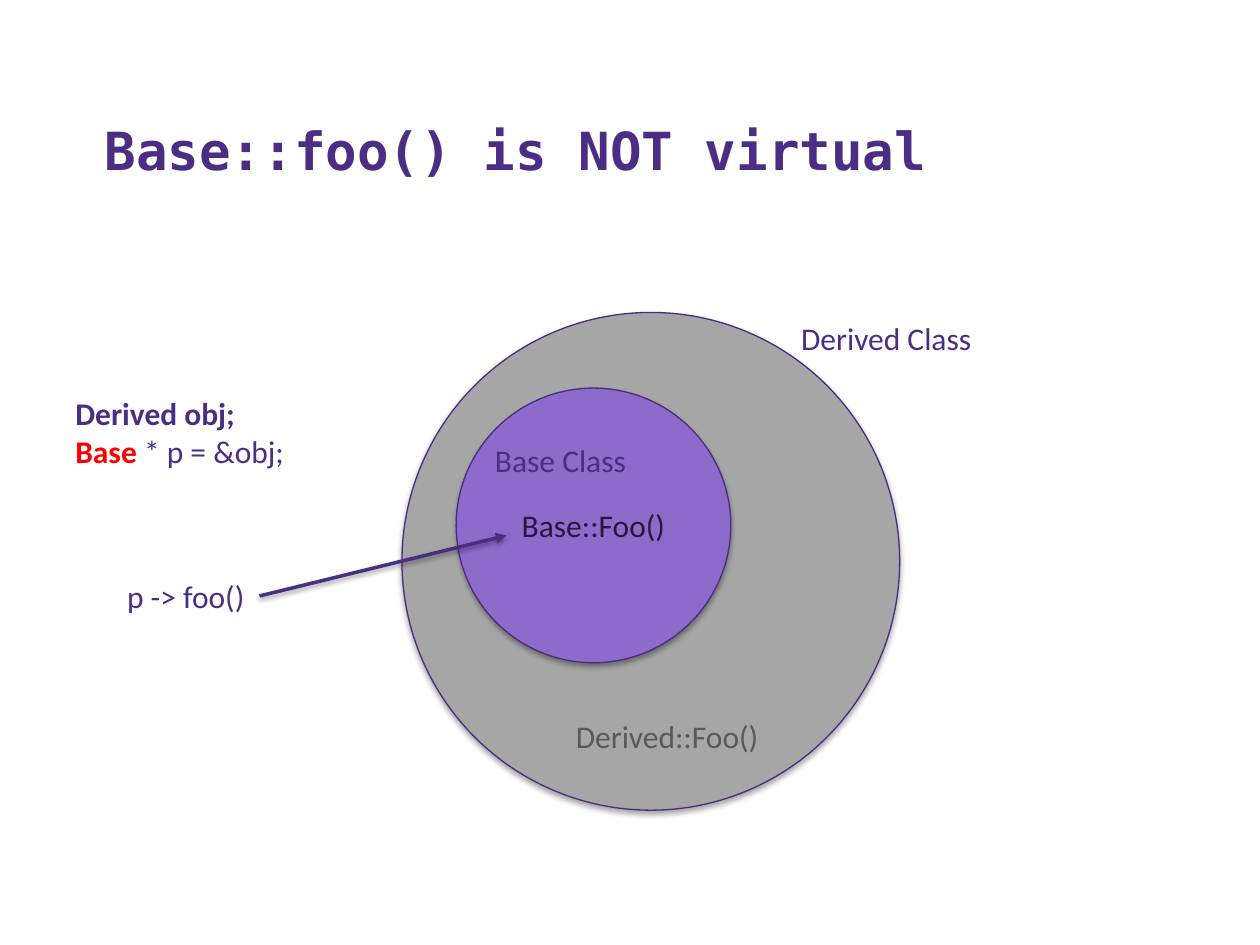
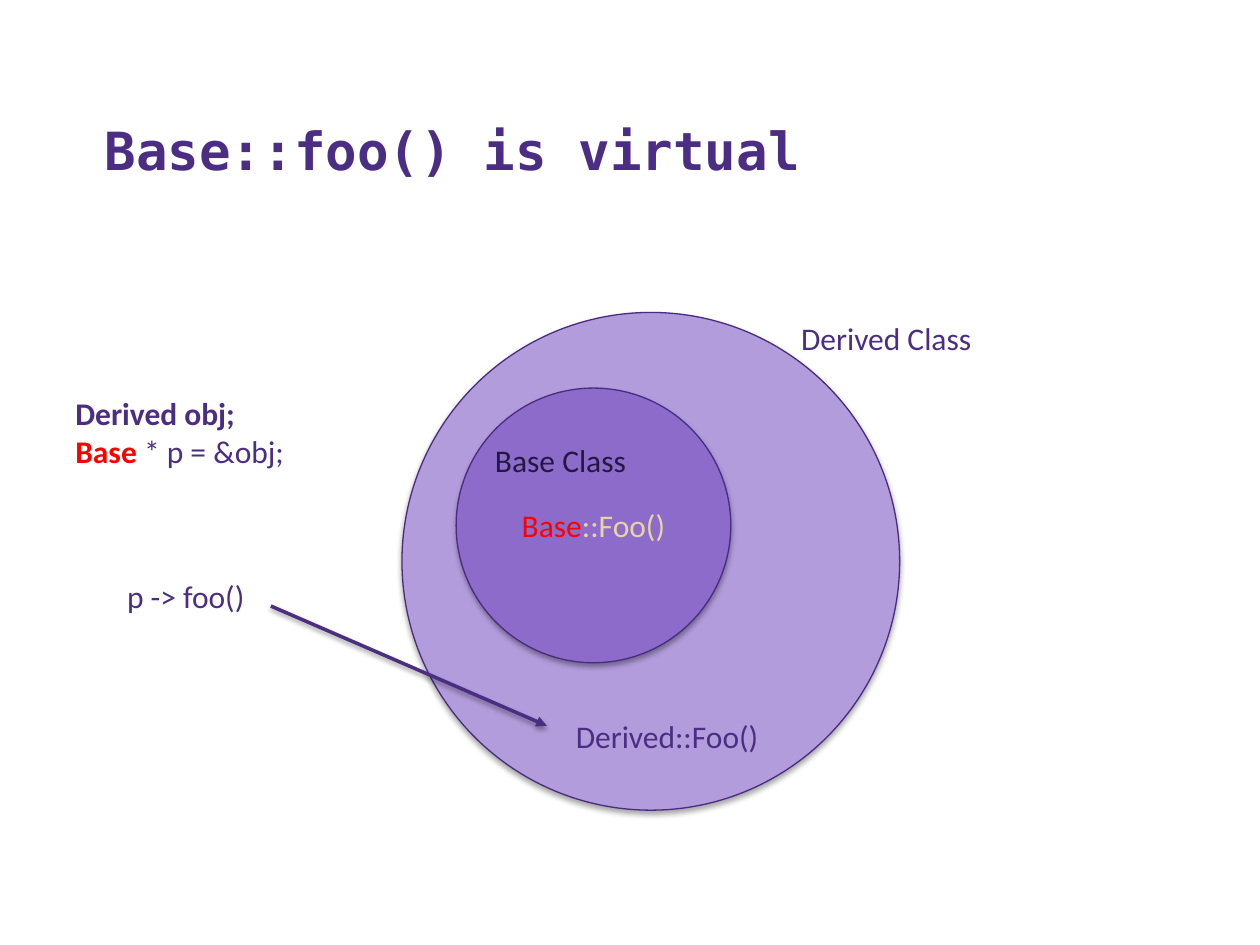
from lxml.etree import SubElement
from pptx import Presentation
from pptx.dml.color import RGBColor
from pptx.enum.shapes import MSO_CONNECTOR as Connector, MSO_SHAPE as Shape
from pptx.enum.text import MSO_ANCHOR as Anchor, MSO_AUTO_SIZE as AutoSize, PP_ALIGN as Align
from pptx.oxml.ns import qn
from pptx.util import Inches, Pt

COLORS = {
    "purple": "4B2E83",
    "outline": "492B82",
    "base": "8C6BCB",
    "derived": "B29CDC",
    "inactive": "A6A6A6",
    "gray": "595959",
    "dark": "261742",
    "red": "FF0000",
    "gold": "E8D3A2",
    "shadow": "000000",
}
TITLE_ONLY = 5
RIGHT_SIDE = 3
DECLARATION = [
    [("Derived obj;", "purple", True)],
    [("Base", "red", True), (" * p = &obj;", "purple", False)],
]


def rgb(name):
    """Return the named palette colour."""
    return RGBColor.from_string(COLORS[name])


def write_text(frame, text, color="purple", size=18, font="Calibri", bold=False, align=Align.LEFT):
    """Write a string, or paragraphs of (text, colour, bold) runs, into a frame."""
    paragraphs = [[(text, color, bold)]] if isinstance(text, str) else text
    for index, runs in enumerate(paragraphs):
        paragraph = frame.add_paragraph() if index else frame.paragraphs[0]
        paragraph.alignment = align
        for content, run_color, run_bold in runs:
            run = paragraph.add_run()
            run.text = content
            run.font.name = font
            run.font.size = Pt(size)
            run.font.bold = run_bold
            run.font.color.rgb = rgb(run_color)


class Deck:
    """Hold the shared style and the current slide."""

    def __init__(self):
        """Start an empty presentation."""
        self.presentation = Presentation()
        self.presentation.slide_width = Inches(10)
        self.presentation.slide_height = Inches(7.5)
        self.slide = None

    def add_slide(self, title):
        """Add a slide with its title."""
        layout = self.presentation.slide_layouts[TITLE_ONLY]
        self.slide = self.presentation.slides.add_slide(layout)
        shape = self.slide.shapes.title
        shape.left, shape.top = Inches(0.73), Inches(0.41)
        shape.width, shape.height = Inches(8.95), Inches(1.08)
        shape.text_frame.vertical_anchor = Anchor.BOTTOM
        write_text(shape.text_frame, title, size=30, font="DejaVu Sans Mono", bold=True)

    def drop_shadow(self, shape, distance, opacity):
        """Give a shape or connector a soft shadow below it."""
        effects = SubElement(shape.element.spPr, qn("a:effectLst"))
        shadow = SubElement(effects, qn("a:outerShdw"), blurRad=str(Pt(3.1)),
                            dist=str(Pt(distance)), dir="5400000", rotWithShape="0")
        color = SubElement(shadow, qn("a:srgbClr"), val=COLORS["shadow"])
        SubElement(color, qn("a:alpha"), val=str(opacity * 1000))

    def circle(self, left, top, diameter, fill, text=None):
        """Draw a class as a circle, with optional centred text."""
        shape = self.slide.shapes.add_shape(
            Shape.OVAL, Inches(left), Inches(top), Inches(diameter), Inches(diameter))
        shape.fill.solid()
        shape.fill.fore_color.rgb = rgb(fill)
        shape.line.color.rgb = rgb("outline")
        shape.line.width = Pt(0.75)
        self.drop_shadow(shape, 1.8, 35)
        if text:
            shape.text_frame.vertical_anchor = Anchor.MIDDLE
            write_text(shape.text_frame, text, align=Align.CENTER)

    def label(self, left, top, width, text, height=0.4, **style):
        """Add a text box that fits its text."""
        box = self.slide.shapes.add_textbox(
            Inches(left), Inches(top), Inches(width), Inches(height))
        box.text_frame.word_wrap = False
        box.text_frame.auto_size = AutoSize.SHAPE_TO_FIT_TEXT
        write_text(box.text_frame, text, **style)
        return box

    def arrow(self, start, end, source=None):
        """Draw an arrow, joined to the right side of a source if given."""
        connector = self.slide.shapes.add_connector(
            Connector.STRAIGHT, *map(Inches, start + end))
        if source is not None:
            connector.begin_connect(source, RIGHT_SIDE)
        connector.line.color.rgb = rgb("purple")
        connector.line.width = Pt(2)
        SubElement(connector.element.spPr.find(qn("a:ln")), qn("a:tailEnd"), type="triangle")
        self.drop_shadow(connector, 1.6, 38)

    def dispatch_slide(self, title, derived_fill, base_call, derived_color, base_color):
        """Draw the nested classes and return the label of the call."""
        self.add_slide(title)
        self.circle(3.19, 2.48, 3.95, derived_fill)
        self.circle(3.62, 3.08, 2.18, "base", base_call)
        self.label(4.46, 5.64, 1.67, "Derived::Foo()", color=derived_color, align=Align.CENTER)
        self.label(3.83, 3.45, 1.25, "Base Class", color=base_color)
        self.label(6.26, 2.48, 1.57, "Derived Class")
        self.label(0.5, 3.08, 1.87, DECLARATION, height=0.71)
        return self.label(0.91, 4.53, 1.15, "p -> foo()")


def main():
    """Build both slides and save them."""
    deck = Deck()
    call = deck.dispatch_slide("Base::foo() is NOT virtual", "inactive",
                               [[("Base::Foo()", "dark", False)]], "gray", "purple")
    deck.arrow((2.06, 4.75), (4.02, 4.25), source=call)

    deck.dispatch_slide("Base::foo() is virtual", "derived",
                        [[("Base", "red", False), ("::Foo()", "gold", False)]], "purple", "dark")
    deck.arrow((2.15, 4.81), (4.34, 5.76))
    deck.presentation.save("out.pptx")


if __name__ == "__main__":
    main()
